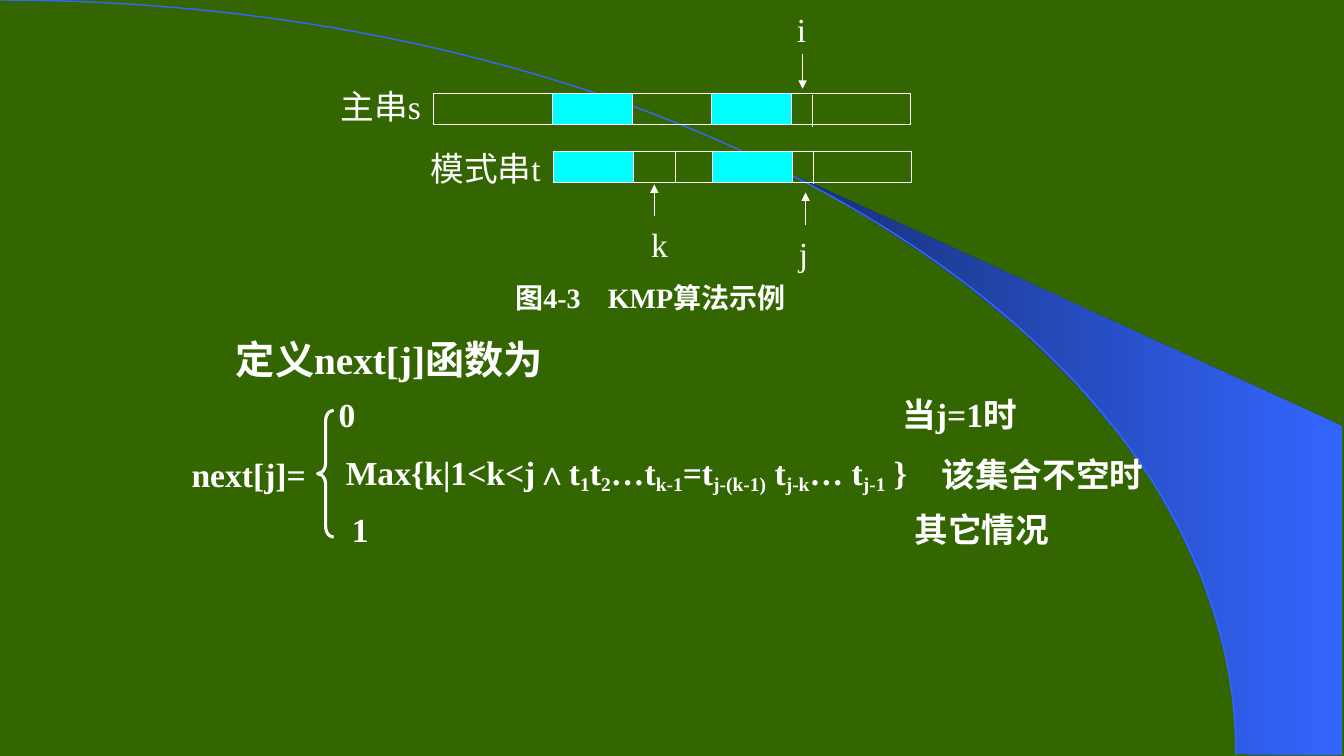
import pptx
import pptx.util
import pptx.dml.color
import pptx.enum.shapes
import pptx.enum.text
import pptx.oxml.ns
import lxml.etree

Inches = pptx.util.Inches
RGBColor = pptx.dml.color.RGBColor
Align = pptx.enum.text.PP_ALIGN
Preset = pptx.enum.shapes.MSO_SHAPE

GREEN = RGBColor(0x33, 0x66, 0x00)
NAVY = RGBColor(0x18, 0x2F, 0x76)
BLUE = RGBColor(0x33, 0x66, 0xFF)
CYAN = RGBColor(0x00, 0xFF, 0xFF)
WHITE = RGBColor(0xFF, 0xFF, 0xFF)
LATIN_FONT = "Times New Roman"
CHINESE_FONT = "Noto Sans CJK SC"


class Board:
    def __init__(self, slide):
        self.slide = slide
        self.shapes = slide.shapes
        slide.background.fill.solid()
        slide.background.fill.fore_color.rgb = GREEN

    def child(self, parent, tag, **attributes):
        return lxml.etree.SubElement(parent, pptx.oxml.ns.qn(tag), attributes)

    def outline(self, shape, color=WHITE, weight=0.75):
        shape.line.color.rgb = color
        shape.line.width = pptx.util.Pt(weight)

    def preset(self, kind, left, top, width, height, fill=None, weight=0.75):
        shape = self.shapes.add_shape(
            kind, Inches(left), Inches(top), Inches(width), Inches(height))
        shape.shadow.inherit = False
        if fill is None:
            shape.fill.background()
        else:
            shape.fill.solid()
            shape.fill.fore_color.rgb = fill
        self.outline(shape, weight=weight)
        return shape

    def freeform(self, points, close):
        start, *rest = [(Inches(x), Inches(y)) for x, y in points]
        builder = self.shapes.build_freeform(*start)
        builder.add_line_segments(rest, close=close)
        shape = builder.convert_to_shape()
        shape.shadow.inherit = False
        return shape

    def line(self, x, start, end, arrow=False):
        connector = self.shapes.add_connector(
            pptx.enum.shapes.MSO_CONNECTOR.STRAIGHT,
            Inches(x), Inches(start), Inches(x), Inches(end))
        self.outline(connector)
        if arrow:
            self.child(connector.line._get_or_add_ln(), "a:tailEnd", type="triangle")
        self.child(connector._element.spPr, "a:effectLst")

    def text(self, left, middle, width, runs, size=24, bold=True, align=Align.LEFT):
        height = 0.5
        box = self.shapes.add_textbox(
            Inches(left), Inches(middle - height / 2), Inches(width), Inches(height))
        frame = box.text_frame
        frame.word_wrap = True
        frame.vertical_anchor = pptx.enum.text.MSO_ANCHOR.MIDDLE
        frame.margin_left = frame.margin_right = 0
        frame.margin_top = frame.margin_bottom = 0
        paragraph = frame.paragraphs[0]
        paragraph.alignment = align
        for content, lowered in runs:
            run = paragraph.add_run()
            run.text = content
            run.font.name = LATIN_FONT
            run.font.size = pptx.util.Pt(size)
            run.font.bold = bold
            run.font.color.rgb = WHITE
            properties = run.font._element
            self.child(properties, "a:ea", typeface=CHINESE_FONT)
            if lowered:
                properties.set("baseline", "-20000")


def plain(*contents):
    return [(content, False) for content in contents]


def bezier(controls, steps):
    points = []
    for step in range(steps + 1):
        t = step / steps
        weights = ((1 - t) ** 3, 3 * t * (1 - t) ** 2, 3 * t * t * (1 - t), t ** 3)
        points.append(tuple(
            sum(w * control[axis] for w, control in zip(weights, controls))
            for axis in (0, 1)))
    return points


deck = pptx.Presentation()
deck.slide_width = Inches(13.33)
deck.slide_height = Inches(7.5)
board = Board(deck.slides.add_slide(deck.slide_layouts[6]))

SWOOSH = [
    (12.27, 7.48), (13.31, 7.49), (13.31, 4.23), (7.86, 1.73), (8.32, 1.99),
    (8.7, 2.22), (9.13, 2.5), (9.55, 2.8), (10.16, 3.3), (10.7, 3.84),
    (11.1, 4.31), (11.44, 4.79), (11.71, 5.28), (11.91, 5.72), (12.04, 6.09),
    (12.17, 6.56), (12.23, 6.96)]
swoosh = board.freeform(SWOOSH, close=True)
swoosh.line.fill.background()
swoosh.fill.gradient()
swoosh.fill.gradient_angle = 0
for stop, position, color in zip(swoosh.fill.gradient_stops, (0, 1), (NAVY, BLUE)):
    stop.position = position
    stop.color.rgb = color

arc = board.freeform(
    bezier([(0, 0), (6.77, 0), (12.26, 3.35), (12.26, 7.49)], 60), close=False)
arc.fill.background()
board.outline(arc, BLUE, 1)

MATCH, END, CELL_HEIGHT = 0.79, 1.18, 0.31
MATCHED_CELLS = [(MATCH, CYAN), (MATCH, None), (MATCH, CYAN), (END, None)]
STRINGS = [
    (4.3, 0.93, [(END, None)] + MATCHED_CELLS),
    (5.49, 1.5, MATCHED_CELLS)]
for left, top, cells in STRINGS:
    for width, fill in cells:
        board.preset(Preset.RECTANGLE, left, top, width, CELL_HEIGHT, fill)
        left += width
    mismatch = left - END + 0.21
    board.line(mismatch, top + 0.01, top + 0.33)
board.line(6.7, 1.5, 1.81)

board.text(3.38, 1.05, 0.95, plain("主串s"), bold=False)
board.text(4.27, 1.67, 1.25, plain("模式串t"), bold=False)

POINTERS = [
    ("i", 7.95, 0.29, 7.96, 0.54, 0.88),
    ("k", 6.54, 2.42, 6.49, 2.14, 1.83),
    ("j", 7.97, 2.51, 7.99, 2.23, 1.91)]
for name, center, middle, arrow_x, start, end in POINTERS:
    board.text(center - 0.15, middle, 0.3, plain(name), bold=False, align=Align.CENTER)
    board.line(arrow_x, start, end, arrow=True)

board.text(5.11, 2.95, 0.85, plain("图", "4-3"), size=20)
board.text(6.03, 2.95, 2.1, plain("KMP", "算法示例"), size=20)
board.text(2.34, 3.56, 3.5, plain("定义next[j]函数为"), size=28)

board.text(1.9, 4.7, 1.25, plain("next[j]="))
brace = board.preset(Preset.LEFT_BRACE, 3.15, 4.07, 0.16, 1.26, weight=2.25)
brace.adjustments[0] = 0.66
brace.adjustments[1] = 0.5

FORMULA = [
    ("Max{k|1<k<j∧t", False), ("1", True), ("t", False), ("2", True),
    ("…t", False), ("k-1", True), ("=t", False), ("j-(k-1)", True),
    (" t", False), ("j-k", True), ("… t", False), ("j-1", True), (" }", False)]
CASES = [
    (4.11, 3.36, plain("0"), 8.95, "当j=1时"),
    (4.7, 3.43, FORMULA, 9.34, "该集合不空时"),
    (5.25, 3.49, plain("1"), 9.07, "其它情况")]
for middle, value_left, value, condition_left, condition in CASES:
    board.text(value_left, middle, 5.8, value)
    board.text(condition_left, middle, 2.2, plain(condition))

deck.save("out.pptx")
